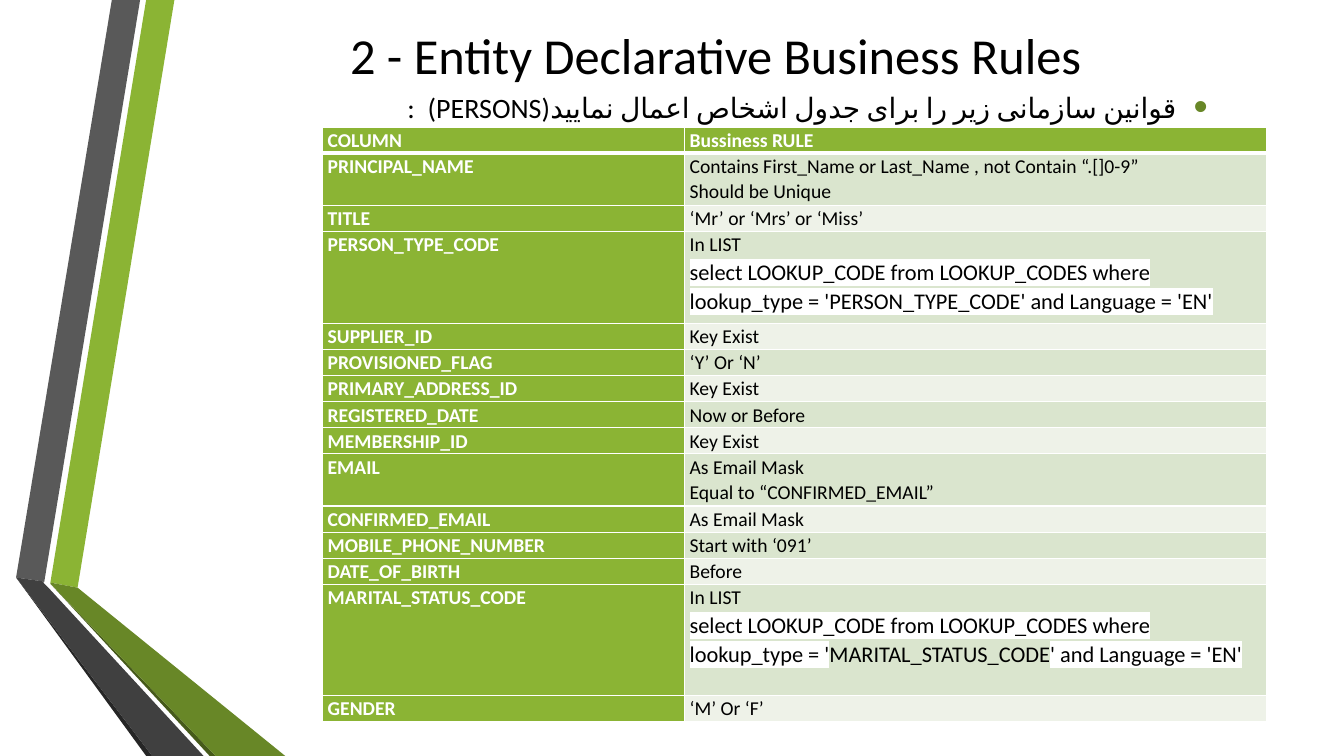
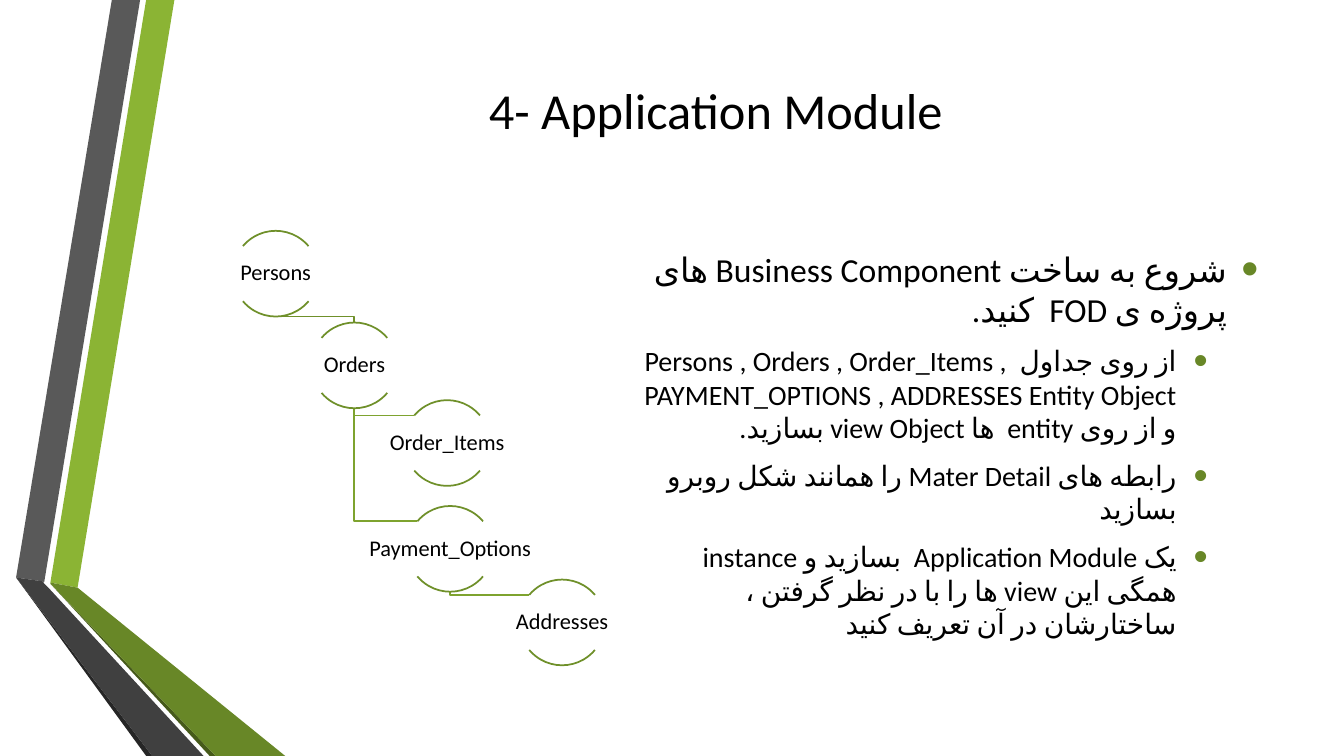
import math

import pptx
import pptx.dml.color
import pptx.enum.shapes
import pptx.enum.text
import pptx.oxml
import pptx.oxml.ns
import pptx.util

Inches = pptx.util.Inches
Pt = pptx.util.Pt
ALIGN = pptx.enum.text.PP_ALIGN
MIDDLE = pptx.enum.text.MSO_ANCHOR.MIDDLE
NO_FIT = pptx.enum.text.MSO_AUTO_SIZE.NONE

WHITE, BLACK = "FFFFFF", "000000"
GREEN, DARK_GREEN, DEEP_GREEN = "8BB434", "688727", "465A1A"
ROW_BANDS = ("EEF2E8", "DAE5CE")
NODE_LINE, CHILD_LINE = "6F902A", "7EA32F"

BANDS = [
    (GREEN, [(0.5, 5.78), (0.77, 5.83), (1.73, 0), (1.45, 0)]),
    ("595959", [(1.39, 0), (1.11, 0), (0.16, 5.73), (0.44, 5.77)]),
    ("262626", [(0.16, 5.73), (1.45, 7.5), (1.51, 7.5)]),
    (DEEP_GREEN, [(0.5, 5.79), (2.08, 7.5), (2.14, 7.5)]),
    (DARK_GREEN, [(0.5, 5.78), (0.5, 5.79), (2.14, 7.5), (2.83, 7.5), (0.77, 5.83)]),
    ("404040", [(2.02, 7.5), (0.48, 5.83), (0.43, 5.78), (0.44, 5.77),
                (0.16, 5.73), (1.51, 7.5)]),
]

QUERY_START = "select LOOKUP_CODE from LOOKUP_CODES where lookup_type = '"
QUERY_END = "' and Language = 'EN'"

# Column name, relative row height, paragraphs; a list is a query of (text, highlight) runs
RULES = [
    ("COLUMN", 0.26, ["Bussiness RULE"]),
    ("PRINCIPAL_NAME", 0.52, ["Contains First_Name or Last_Name , not Contain “.[]0-9”",
                              "Should be Unique"]),
    ("TITLE", 0.26, ["‘Mr’ or ‘Mrs’ or ‘Miss’"]),
    ("PERSON_TYPE_CODE", 0.92, [
        "In LIST", [(QUERY_START + "PERSON_TYPE_CODE" + QUERY_END, WHITE)]]),
    ("SUPPLIER_ID", 0.26, ["Key Exist"]),
    ("PROVISIONED_FLAG", 0.26, ["‘Y’ Or ‘N’"]),
    ("PRIMARY_ADDRESS_ID", 0.26, ["Key Exist"]),
    ("REGISTERED_DATE", 0.26, ["Now or Before"]),
    ("MEMBERSHIP_ID", 0.26, ["Key Exist"]),
    ("EMAIL", 0.52, ["As Email Mask", "Equal to “CONFIRMED_EMAIL”"]),
    ("CONFIRMED_EMAIL", 0.26, ["As Email Mask"]),
    ("MOBILE_PHONE_NUMBER", 0.26, ["Start with ‘091’"]),
    ("DATE_OF_BIRTH", 0.26, ["Before"]),
    ("MARITAL_STATUS_CODE", 1.11, [
        "In LIST", [(QUERY_START, WHITE), ("MARITAL_STATUS_CODE", None), (QUERY_END, WHITE)]]),
    ("GENDER", 0.26, ["‘M’ Or ‘F’"]),
]

# Left and top of each circle
DIAMETER = 0.85
NODES = {
    "Persons": (2.31, 2.29),
    "Orders": (3.09, 3.2),
    "Order_Items": (4.01, 3.97),
    "Payment_Options": (4.04, 5.02),
    "Addresses": (5.15, 5.75),
}
BRANCHES = [("Payment_Options", "Addresses"), ("Orders", "Payment_Options"),
            ("Orders", "Order_Items")]


def rgb(color):
    return pptx.dml.color.RGBColor.from_string(color)


def put(obj, **values):
    for name, value in values.items():
        setattr(obj, name, value)


def element(xml):
    """Parse one XML element whose first tag is in the a: namespace."""
    head, rest = xml.split(" ", 1)
    return pptx.oxml.parse_xml(f"{head} {pptx.oxml.ns.nsdecls('a')} {rest}")


class Deck:
    """Presentation style and the slide being filled."""

    font = "Calibri"

    def __init__(self):
        self.prs = pptx.Presentation()
        put(self.prs, slide_width=Inches(13.33), slide_height=Inches(7.5))
        self.s = None

    def new_slide(self, title, top, height):
        first = self.s is None
        self.s = self.prs.slides.add_slide(self.prs.slide_layouts[1])
        if first:
            self.add_bands()
        tf = self.place(self.s.shapes.title, 1.62, top, 10.96, height)
        p = tf.paragraphs[0]
        p.alignment = ALIGN.CENTER
        self.run(p, title, 36)

    def add_bands(self):
        """Build the side bands and move them to the master, behind everything."""
        tree = self.prs.slide_master.shapes.element
        for i, (color, points) in enumerate(BANDS):
            sp = self.outline(points, fill=color)
            sp.element.nvSpPr.cNvPr.set("id", str(20 + i))
            tree.insert(2 + i, sp.element)

    def place(self, sp, left, top, width, height, inset=None):
        put(sp, left=Inches(left), top=Inches(top),
            width=Inches(width), height=Inches(height))
        tf = sp.text_frame
        put(tf, word_wrap=True, auto_size=NO_FIT, vertical_anchor=MIDDLE)
        if inset is not None:
            for side in ("left", "top", "right", "bottom"):
                setattr(tf, f"margin_{side}", Inches(inset))
        return tf

    def run(self, p, text, size, color=BLACK, bold=False, highlight=None):
        r = p.add_run()
        r.text = text
        put(r.font, name=self.font, size=Pt(size), bold=bold)
        r.font.color.rgb = rgb(color)
        if highlight:
            fill = r.font._element.find(pptx.oxml.ns.qn("a:solidFill"))
            fill.addnext(element(f'<a:highlight ><a:srgbClr val="{highlight}"/></a:highlight>'))
        return r

    def bullets(self, items, top, height, left=1.62, width=10.96):
        """Right-to-left list of (level, size, text)."""
        tf = self.place(self.s.placeholders[1], left, top, width, height)
        for i, (level, size, text) in enumerate(items):
            p = tf.add_paragraph() if i else tf.paragraphs[0]
            put(p, level=level, alignment=ALIGN.RIGHT, space_after=Pt(6))
            pPr = p._p.get_or_add_pPr()
            pPr.set("rtl", "1")
            pPr.set("marL", str(Inches(0.31 + 0.5 * level)))
            pPr.set("indent", str(Inches(-0.31)))
            for xml in (f'<a:buClr ><a:srgbClr val="{DARK_GREEN}"/></a:buClr>',
                        '<a:buSzPct val="145000"/>',
                        '<a:buFont typeface="Arial"/>',
                        '<a:buChar char="•"/>'):
                pPr.append(element(xml))
            rPr = self.run(p, text, size).font._element
            rPr.set("lang", "fa-IR")
            rPr.append(element(f'<a:cs typeface="{self.font}"/>'))

    def table(self, rows, left, top, widths, height):
        scale = height / sum(share for _, share, _ in rows)
        frame = self.s.shapes.add_table(
            len(rows), len(widths), Inches(left), Inches(top),
            Inches(sum(widths)), Inches(height))
        table = frame.table
        table.horz_banding = False
        for column, width in zip(table.columns, widths):
            column.width = Inches(width)
        for i, (name, share, rules) in enumerate(rows):
            table.rows[i].height = Inches(share * scale)
            for j, paragraphs in enumerate(([name], rules)):
                self.cell(table.cell(i, j), paragraphs, i, header=i == 0 or j == 0)

    def cell(self, cell, paragraphs, row, header):
        put(cell, margin_left=Inches(0.05), margin_right=Inches(0.05),
            margin_top=0, margin_bottom=0)
        cell.fill.solid()
        cell.fill.fore_color.rgb = rgb(GREEN if header else ROW_BANDS[row % 2])
        thick = {0: "B", 1: "T"}.get(row)
        tcPr = cell._tc.get_or_add_tcPr()
        for i, side in enumerate("LRTB"):
            width = Pt(3 if side == thick else 1)
            tcPr.insert(i, element(
                f'<a:ln{side} w="{width}"><a:solidFill><a:srgbClr val="{WHITE}"/>'
                f'</a:solidFill></a:ln{side}>'))
        for i, content in enumerate(paragraphs):
            p = cell.text_frame.add_paragraph() if i else cell.text_frame.paragraphs[0]
            p.line_spacing = 1.07
            if isinstance(content, str):
                self.run(p, content, 14, WHITE if header else BLACK, header)
            else:
                for text, highlight in content:
                    self.run(p, text, 16, highlight=highlight)

    def outline(self, points, fill=None, line=None):
        """Closed filled outline, or an open line when there is no fill."""
        points = [(Inches(x), Inches(y)) for x, y in points]
        builder = self.s.shapes.build_freeform(*points[0])
        builder.add_line_segments(points[1:], close=fill is not None)
        sp = builder.convert_to_shape()
        self.paint(sp, fill, line)
        return sp

    def paint(self, sp, fill=None, line=None):
        sp.shadow.inherit = False
        if fill:
            sp.fill.solid()
            sp.fill.fore_color.rgb = rgb(fill)
        else:
            sp.fill.background()
        if line:
            sp.line.color.rgb = rgb(line)
            sp.line.width = Pt(1.25)
        else:
            sp.line.fill.background()

    def node(self, text, left, top):
        """Label between an upper and a lower arc of one circle."""
        for start, end in ((220, 320), (40, 140)):
            sp = self.s.shapes.add_shape(
                pptx.enum.shapes.MSO_SHAPE.ARC, Inches(left), Inches(top),
                Inches(DIAMETER), Inches(DIAMETER))
            for i, degrees in enumerate((start, end)):
                sp.adjustments[i] = degrees * 0.6
            self.paint(sp, line=NODE_LINE)
        width, height = 1.71, 0.55
        box = self.s.shapes.add_textbox(0, 0, 0, 0)
        tf = self.place(box, left + (DIAMETER - width) / 2,
                        top + (DIAMETER - height) / 2, width, height, inset=0.01)
        p = tf.paragraphs[0]
        put(p, alignment=ALIGN.CENTER, line_spacing=0.9)
        self.run(p, text, 16)


def bottom(name):
    left, top = NODES[name]
    return left + DIAMETER / 2, top + DIAMETER


def arc_start(name):
    """Left end of the upper arc of a node."""
    left, top = NODES[name]
    radius, angle = DIAMETER / 2, math.radians(220)
    return left + radius * (1 + math.cos(angle)), top + radius * (1 + math.sin(angle))


def main():
    deck = Deck()

    deck.new_slide("2 - Entity Declarative Business Rules", 0.16, 0.76)
    deck.bullets([(1, 20, "قوانین سازمانی زیر را برای جدول اشخاص اعمال نمایید(PERSONS)  :")],
                 top=0.86, height=0.4)
    deck.table(RULES, 3.2, 1.26, (3.59, 5.77), 5.9)

    deck.new_slide("4- Application Module", 0.75, 0.66)
    deck.bullets([
        (0, 24, "شروع به ساخت Business Component های پروژه ی FOD  کنید."),
        (1, 20, "از روی جداول  Persons , Orders , Order_Items , PAYMENT_OPTIONS , ADDRESSES "
                "Entity Object و از روی entity  ها view Object بسازید."),
        (1, 20, "رابطه های Mater Detail را همانند شکل روبرو بسازید "),
        (1, 20, "یک Application Module  بسازید و instance همگی این view ها را با در نظر "
                "گرفتن ، ساختارشان در آن تعریف کنید"),
    ], top=1.94, height=4.94, left=6.17, width=6.41)
    for parent, child in BRANCHES:
        (x, y), end = bottom(parent), arc_start(child)
        deck.outline([(x, y), (x, end[1]), end], line=CHILD_LINE)
    x, y = bottom("Persons")
    orders_x, orders_top = bottom("Orders")[0], NODES["Orders"][1]
    deck.outline([(x, y), (orders_x, y), (orders_x, orders_top)], line=NODE_LINE)
    for name, (left, top) in NODES.items():
        deck.node(name, left, top)

    deck.prs.save("out.pptx")


if __name__ == "__main__":
    main()
